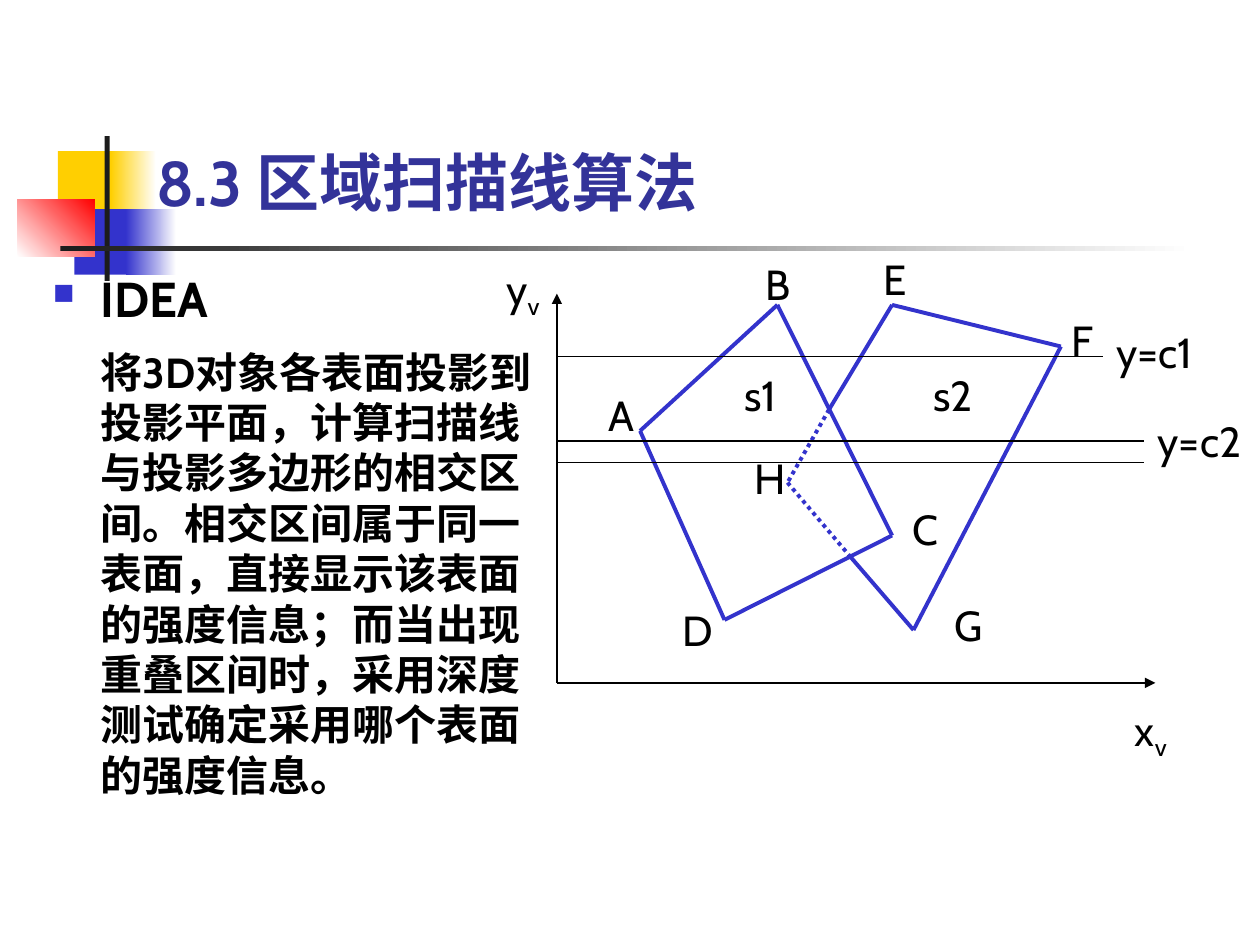
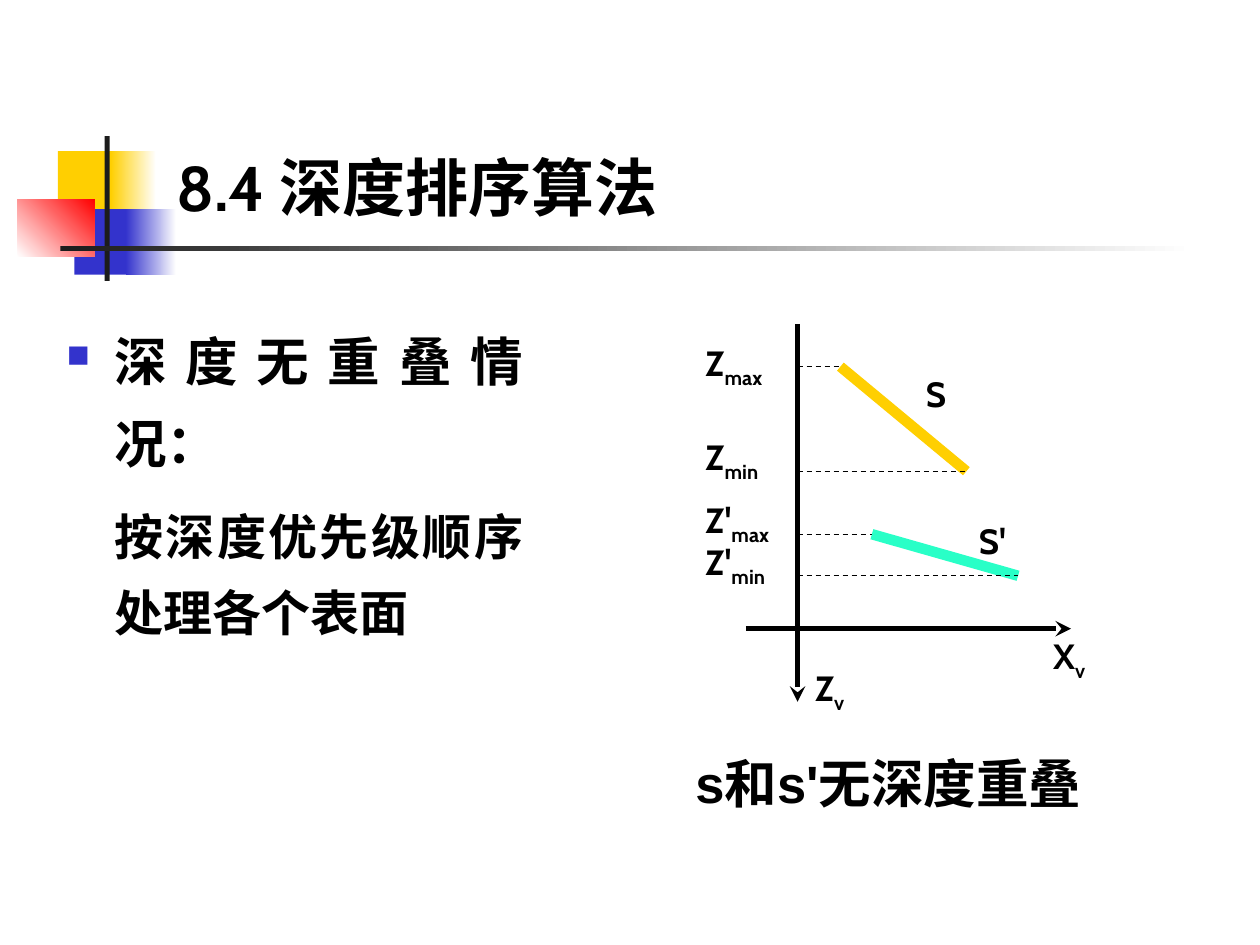
from lxml import etree
from pptx import Presentation
from pptx.dml.color import RGBColor
from pptx.enum.dml import MSO_LINE_DASH_STYLE as Dash
from pptx.enum.shapes import MSO_CONNECTOR as Connector, MSO_SHAPE as Shape
from pptx.enum.text import MSO_ANCHOR as Anchor, MSO_AUTO_SIZE as AutoSize, PP_ALIGN as Align
from pptx.oxml.ns import qn
from pptx.util import Inches, Pt

BLACK, WHITE, CHARCOAL = "000000", "FFFFFF", "1C1C1C"
YELLOW, BLUE, RED, MINT, NAVY = "FFCF01", "3333CC", "FF0000", "29FFC7", "333399"
FONT = "Cabin"


def rgb(value):
    """Turn a hex string into a colour."""
    return RGBColor.from_string(value)


def add_block(slide, box, start, end=None, angle=0):
    """Draw a borderless rectangle, plain or fading from start to end."""
    block = slide.shapes.add_shape(Shape.RECTANGLE, *map(Inches, box))
    block.shadow.inherit = False
    block.line.fill.background()
    if end is None:
        block.fill.solid()
        block.fill.fore_color.rgb = rgb(start)
        return
    block.fill.gradient()
    block.fill.gradient_angle = angle
    for stop, position, color in zip(block.fill.gradient_stops, (0, 1), (start, end)):
        stop.position = position
        stop.color.rgb = rgb(color)


def add_line(shapes, origin, start, end, color=BLACK, width=0.75, dash=None, arrow=None):
    """Draw a straight line between two points measured from origin."""
    ends = [Inches(base + step) for point in (start, end) for base, step in zip(origin, point)]
    line = shapes.add_connector(Connector.STRAIGHT, *ends)
    etree.SubElement(line._element.spPr, qn("a:effectLst"))
    line.line.color.rgb = rgb(color)
    line.line.width = Pt(width)
    if dash:
        line.line.dash_style = dash
    if arrow:
        etree.SubElement(line.line._get_or_add_ln(), qn("a:tailEnd"), type=arrow)


def style(paragraph, size, color=BLACK, bold=True, font=FONT):
    """Set the font of a whole paragraph."""
    paragraph.font.size = Pt(size)
    paragraph.font.bold = bold
    paragraph.font.name = font
    paragraph.font.color.rgb = rgb(color)


def add_text(shapes, box, text, size, wrap=True, anchor=Anchor.TOP, grow=True, **font):
    """Write one paragraph, lowering whatever follows an underscore."""
    frame = shapes.add_textbox(*map(Inches, box)).text_frame
    frame.word_wrap = wrap
    frame.vertical_anchor = anchor
    frame.auto_size = AutoSize.SHAPE_TO_FIT_TEXT if grow else AutoSize.NONE
    paragraph = frame.paragraphs[0]
    base, _, subscript = text.partition("_")
    paragraph.add_run().text = base
    if subscript:
        lowered = paragraph.add_run()
        lowered.text = subscript
        lowered.font._element.set("baseline", "-25000")
    style(paragraph, size, **font)


def add_square_bullet(properties):
    """Give a paragraph the blue square bullet."""
    color = etree.SubElement(properties, qn("a:buClr"))
    etree.SubElement(color, qn("a:srgbClr"), val=BLUE)
    etree.SubElement(properties, qn("a:buSzPct"), val="60000")
    etree.SubElement(properties, qn("a:buFont"), typeface="Wingdings", charset="2")
    etree.SubElement(properties, qn("a:buChar"), char="n")


def add_body(slide, box, heading, detail, sizes, gap, side_inset=0.1, spacing=None, align=None):
    """Write a bulleted heading and the indented explanation under it."""
    frame = slide.shapes.add_textbox(*map(Inches, box)).text_frame
    frame.word_wrap = True
    frame.margin_left = frame.margin_right = Inches(side_inset)
    topic, explanation = frame.paragraphs[0], frame.add_paragraph()
    for paragraph, text, size in zip((topic, explanation), (heading, detail), sizes):
        paragraph.text = text
        properties = paragraph._p.get_or_add_pPr()
        properties.set("marL", str(Inches(0.38)))
        properties.set("hangingPunct", "0")
        if paragraph is topic:
            properties.set("indent", str(-Inches(0.38)))
            add_square_bullet(properties)
        if spacing:
            paragraph.line_spacing = spacing
        if align:
            paragraph.alignment = align
        style(paragraph, size)
    explanation.space_before = Pt(gap)


def add_titled_slide(deck, title, box, color):
    """Add a slide with the shared ornament and a title."""
    slide = deck.slides.add_slide(deck.slide_layouts[6])
    add_block(slide, (0.46, 1.2, 0.48, 0.52), YELLOW)
    add_block(slide, (0.88, 1.2, 0.36, 0.52), YELLOW, WHITE)
    add_block(slide, (0.59, 1.66, 0.46, 0.52), BLUE)
    add_block(slide, (1, 1.66, 0.4, 0.52), BLUE, WHITE)
    add_block(slide, (0.14, 1.58, 0.61, 0.46), WHITE, RED, angle=45)
    add_block(slide, (0.83, 1.08, 0.04, 1.15), CHARCOAL)
    add_block(slide, (0.48, 1.95, 9, 0.04), CHARCOAL, WHITE)
    add_text(slide.shapes, box, title, 36, anchor=Anchor.BOTTOM, grow=False, color=color)
    return slide


def add_scanline_diagram(slide, left, top):
    """Draw two overlapping polygons crossed by scan lines."""
    shapes = slide.shapes.add_group_shape().shapes
    origin = (left, top)
    corner = (0, 3.09)
    add_line(shapes, origin, corner, (0, 0), arrow="triangle")
    add_line(shapes, origin, corner, (4.75, 3.09), arrow="triangle")

    vertices = {
        "A": (0.66, 1.09), "B": (1.75, 0.09), "C": (2.66, 1.92), "D": (1.33, 2.59),
        "E": (2.66, 0.09), "F": (4, 0.42), "G": (2.83, 2.67), "H": (1.83, 1.5),
        "P": (2.16, 0.92), "Q": (2.33, 2.09),
    }
    for edge in ("AB", "AD", "DC", "BC", "EP", "PH", "HQ", "QG", "EF", "FG"):
        start, end = (vertices[name] for name in edge)
        hidden = Dash.ROUND_DOT if "H" in edge else None
        add_line(shapes, origin, start, end, BLUE, 2.25, hidden)

    for height, length in ((0.5, 4.33), (1.17, 4.66), (1.34, 4.66)):
        add_line(shapes, origin, (0, height), (length, height))

    labels = (
        ("A", 0.31, 0.71, 0.41), ("B", 1.56, -0.33, 0.41), ("C", 2.72, 1.62, 0.41),
        ("D", 0.9, 2.42, 0.44), ("E", 2.49, -0.37, 0.38), ("F", 3.99, 0.12, 0.37),
        ("G", 3.06, 2.38, 0.44), ("H", 1.47, 1.21, 0.44),
        ("y=c1", 4.34, 0.21, 0.91), ("y=c2", 4.67, 0.92, 0.91),
        ("x_v", 4.49, 3.21, 0.47), ("y_v", -0.5, -0.29, 0.47),
        ("s1", 1.39, 0.55, 0.55), ("s2", 2.89, 0.55, 0.55),
    )
    for text, x, y, width in labels:
        add_text(shapes, (left + x, top + y, width, 0.5), text, 24, wrap=False, bold=False)


def add_depth_diagram(slide, left, top):
    """Draw two surfaces whose depth ranges stay apart."""
    shapes = slide.shapes.add_group_shape().shapes
    origin = (left, top)
    axis = 0.83
    add_line(shapes, origin, (0.42, 2.42), (3, 2.42), width=3, arrow="stealth")
    add_line(shapes, origin, (axis, 0), (axis, 3), width=3, arrow="stealth")

    surfaces = (
        (MINT, (1.42, 1.67), (2.58, 2)),
        (YELLOW, (1.17, 0.34), (2.17, 1.17)),
    )
    for color, near, far in surfaces:
        add_line(shapes, origin, near, far, color, 6)
    for _, *ends in surfaces:
        for x, depth in ends:
            add_line(shapes, origin, (axis, depth), (x, depth), dash=Dash.DASH)

    labels = (
        ("S'", 2.17, 1.5, 0.58), ("S", 1.75, 0.34, 0.58),
        ("Z'_min", 0, 1.67, 0.92), ("Z'_max", 0, 1.34, 0.92),
        ("Z_min", 0, 0.84, 0.92), ("Z_max", 0, 0.09, 0.92),
        ("X_v", 2.76, 2.42, 0.48), ("Z_v", 0.87, 2.67, 0.45),
    )
    for text, x, y, width in labels:
        add_text(shapes, (left + x, top + y, width, 0.44), text, 20, wrap=not text.endswith("_v"))


def build_scanline_slide(deck):
    """Explain the area scan-line algorithm."""
    slide = add_titled_slide(deck, "8.3 区域扫描线算法", (1.14, 0.54, 6.92, 1.25), NAVY)
    add_body(
        slide, (0.42, 2.08, 3.83, 4.75), "IDEA",
        "将3D对象各表面投影到投影平面，计算扫描线与投影多边形的相交区间。"
        "相交区间属于同一表面，直接显示该表面的强度信息；"
        "而当出现重叠区间时，采用深度测试确定采用哪个表面的强度信息。",
        (28, 24), gap=10.8, side_inset=0)
    add_scanline_diagram(slide, 4.42, 2.33)


def build_depth_slide(deck):
    """Explain depth sorting without overlap."""
    slide = add_titled_slide(deck, "8.4 深度排序算法", (1.3, 1.06, 8.03, 0.77), BLACK)
    add_body(
        slide, (0.43, 2.41, 3.82, 2.82), "深度无重叠情况：", "按深度优先级顺序处理各个表面",
        (30, 28), gap=8.7, spacing=1.3, align=Align.JUSTIFY)
    add_text(slide.shapes, (5.42, 5.91, 3.58, 0.6), "s和s'无深度重叠", 30, font="Arial")
    add_depth_diagram(slide, 5.5, 2.57)


def main():
    """Build and save the deck."""
    deck = Presentation()
    deck.slide_width, deck.slide_height = Inches(10), Inches(7.5)
    build_scanline_slide(deck)
    build_depth_slide(deck)
    deck.save("out.pptx")


if __name__ == "__main__":
    main()
